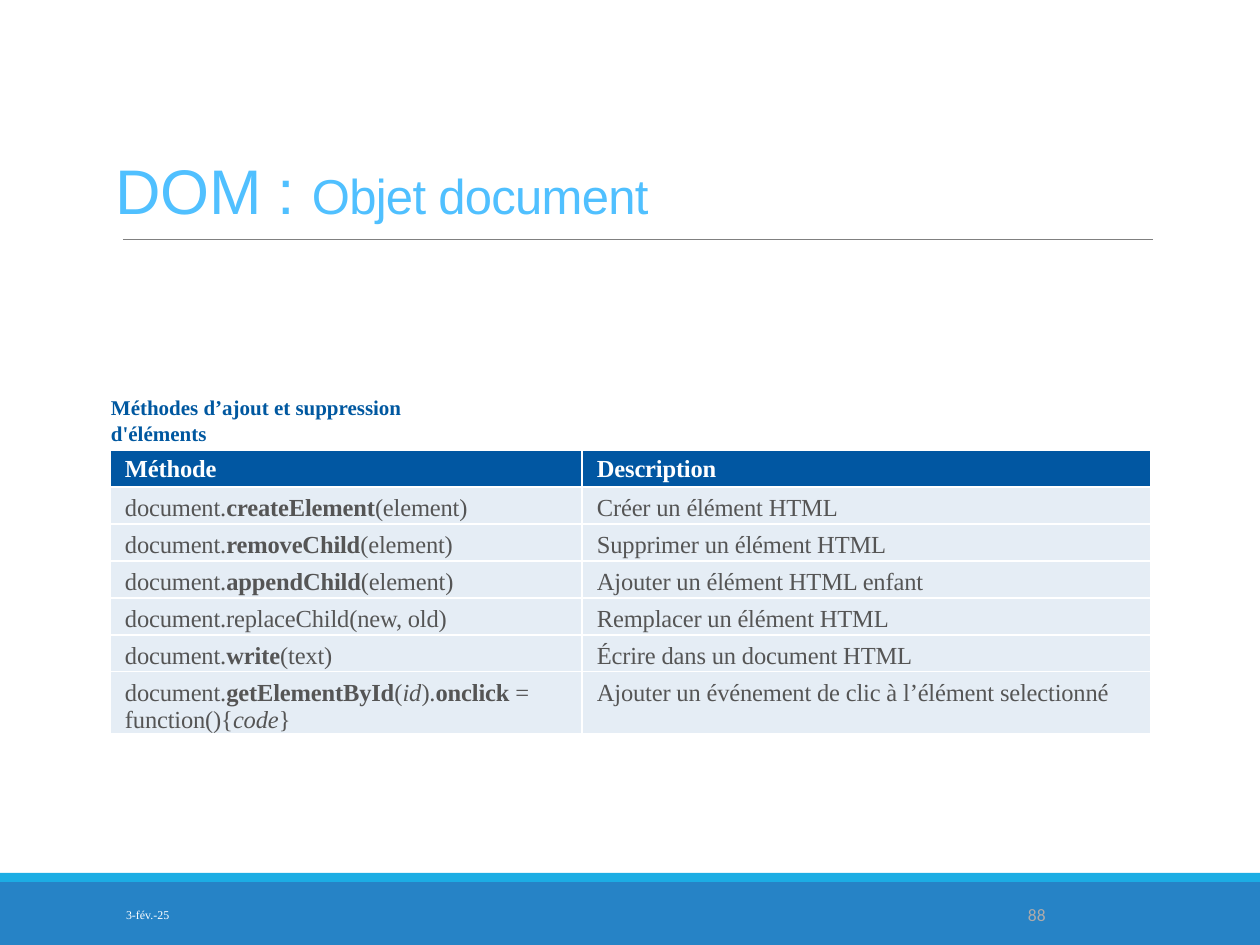
from pptx import Presentation
from pptx.dml.color import RGBColor
from pptx.enum.shapes import MSO_CONNECTOR as Connector, MSO_SHAPE as Shape
from pptx.enum.text import MSO_ANCHOR as Anchor
from pptx.oxml import parse_xml
from pptx.oxml.ns import nsdecls
from pptx.util import Emu, Pt

PX = 914400 // 126
SERIF = "Times New Roman"
COLORS = {
    "band": "2683C6", "stripe": "1CADE4", "rule": "808080",
    "title": "50C0FF", "heading": "0058A0", "header": "0157A2",
    "row": "E5EDF5", "text": "555555", "white": "FFFFFF", "number": "AEABAB",
}

# Each cell is a list of (text, style) runs: "b" bold, "i" italic
HEADER = ["Méthode", "Description"]
METHODS = [
    ([("document.", ""), ("createElement", "b"), ("(element)", "")],
     "Créer un élément HTML"),
    ([("document.", ""), ("removeChild", "b"), ("(element)", "")],
     "Supprimer un élément HTML"),
    ([("document.", ""), ("appendChild", "b"), ("(element)", "")],
     "Ajouter un élément HTML enfant"),
    ([("document.replaceChild(new, old)", "")], "Remplacer un élément HTML"),
    ([("document.", ""), ("write", "b"), ("(text)", "")],
     "Écrire dans un document HTML"),
    ([("document.", ""), ("getElementById", "b"), ("(", ""), ("id", "i"),
      (").", ""), ("onclick ", "b"), ("= function(){", ""), ("code", "i"),
      ("}", "")],
     "Ajouter un événement de clic à l’élément selectionné"),
]


def px(*lengths):
    return [Emu(length * PX) for length in lengths]


def color(name):
    return RGBColor.from_string(COLORS[name])


def add_run(paragraph, text, size, ink, font=SERIF, style="", spacing=0):
    run = paragraph.add_run()
    run.text = text
    run.font.size = Pt(size)
    run.font.name = font
    run.font.color.rgb = color(ink)
    run.font.bold = "b" in style
    run.font.italic = "i" in style
    if spacing:
        run._r.get_or_add_rPr().set("spc", str(spacing))


def add_bar(slide, box, fill):
    shape = slide.shapes.add_shape(Shape.RECTANGLE, *px(*box))
    shape.shadow.inherit = False
    shape.fill.solid()
    shape.fill.fore_color.rgb = color(fill)
    shape.line.fill.background()


def add_rule(slide, left, right, y):
    line = slide.shapes.add_connector(Connector.STRAIGHT, *px(left, y, right, y))
    line.line.color.rgb = color("rule")
    line.line.width = Pt(0.5)
    line._element.spPr.append(parse_xml(f"<a:effectLst {nsdecls('a')}/>"))


def add_text(slide, box, anchor=Anchor.MIDDLE, insets=(13, 6, 13, 6)):
    text_frame = slide.shapes.add_textbox(*px(*box)).text_frame
    text_frame.word_wrap = True
    text_frame.vertical_anchor = anchor
    (text_frame.margin_left, text_frame.margin_top,
     text_frame.margin_right, text_frame.margin_bottom) = px(*insets)
    return text_frame.paragraphs[0]


def add_borders(cell, width):
    properties = cell._tc.get_or_add_tcPr()
    for index, side in enumerate(("lnL", "lnR", "lnT", "lnB")):
        properties.insert(index, parse_xml(
            f'<a:{side} {nsdecls("a")} w="{Pt(width)}"><a:solidFill>'
            f'<a:srgbClr val="{COLORS["white"]}"/></a:solidFill></a:{side}>'))


def fill_cell(cell, runs, fill, ink, top):
    cell.margin_left, cell.margin_top, cell.margin_right, cell.margin_bottom = px(
        15, top, 0, 0)
    cell.fill.solid()
    cell.fill.fore_color.rgb = color(fill)
    add_borders(cell, 1)
    for text, style in runs:
        add_run(cell.text_frame.paragraphs[0], text, 14, ink, style=style, spacing=-10)


def add_methods_table(slide):
    widths = (472, 569)
    heights = [37] * len(METHODS) + [62]
    table = slide.shapes.add_table(
        len(heights), len(widths), *px(110, 450, sum(widths), sum(heights))).table
    for column, width in zip(table.columns, px(*widths)):
        column.width = width
    for row, height in zip(table.rows, px(*heights)):
        row.height = height
    for index, text in enumerate(HEADER):
        fill_cell(table.cell(0, index), [(text, "b")], "header", "white", 6)
    for index, (method, description) in enumerate(METHODS, start=1):
        fill_cell(table.cell(index, 0), method, "row", "text", 8)
        fill_cell(table.cell(index, 1), [(description, "")], "row", "text", 8)


def main():
    presentation = Presentation()
    presentation.slide_width, presentation.slide_height = px(1260, 945)
    slide = presentation.slides.add_slide(presentation.slide_layouts[6])

    # Footer bands and title rule
    add_bar(slide, (0, 882, 1260, 63), "band")
    add_bar(slide, (0, 873, 1260, 9), "stripe")
    add_rule(slide, 123, 1153, 239)

    # Methods table
    add_methods_table(slide)

    # Page number
    number = add_text(slide, (1023, 890, 136, 50), insets=(5, 0, 0, 0))
    add_run(number, "88", 10, "number", "Calibri")

    # Table heading
    heading = add_text(slide, (54, 394, 440, 52), Anchor.TOP, (57, 1, 0, 0))
    add_run(heading, "Méthodes d’ajout et suppression d'éléments", 12, "heading",
            style="b")

    # Title
    title = add_text(slide, (103, 97, 988, 136), Anchor.BOTTOM)
    title.line_spacing = 0.85
    add_run(title, "DOM : ", 36, "title", "Arial", spacing=-40)
    add_run(title, "Objet document", 28, "title", "Arial", spacing=-40)

    # Date
    date = add_text(slide, (113, 890, 256, 50))
    add_run(date, "3-fév.-25", 6.8, "white")

    presentation.save("out.pptx")


if __name__ == "__main__":
    main()
